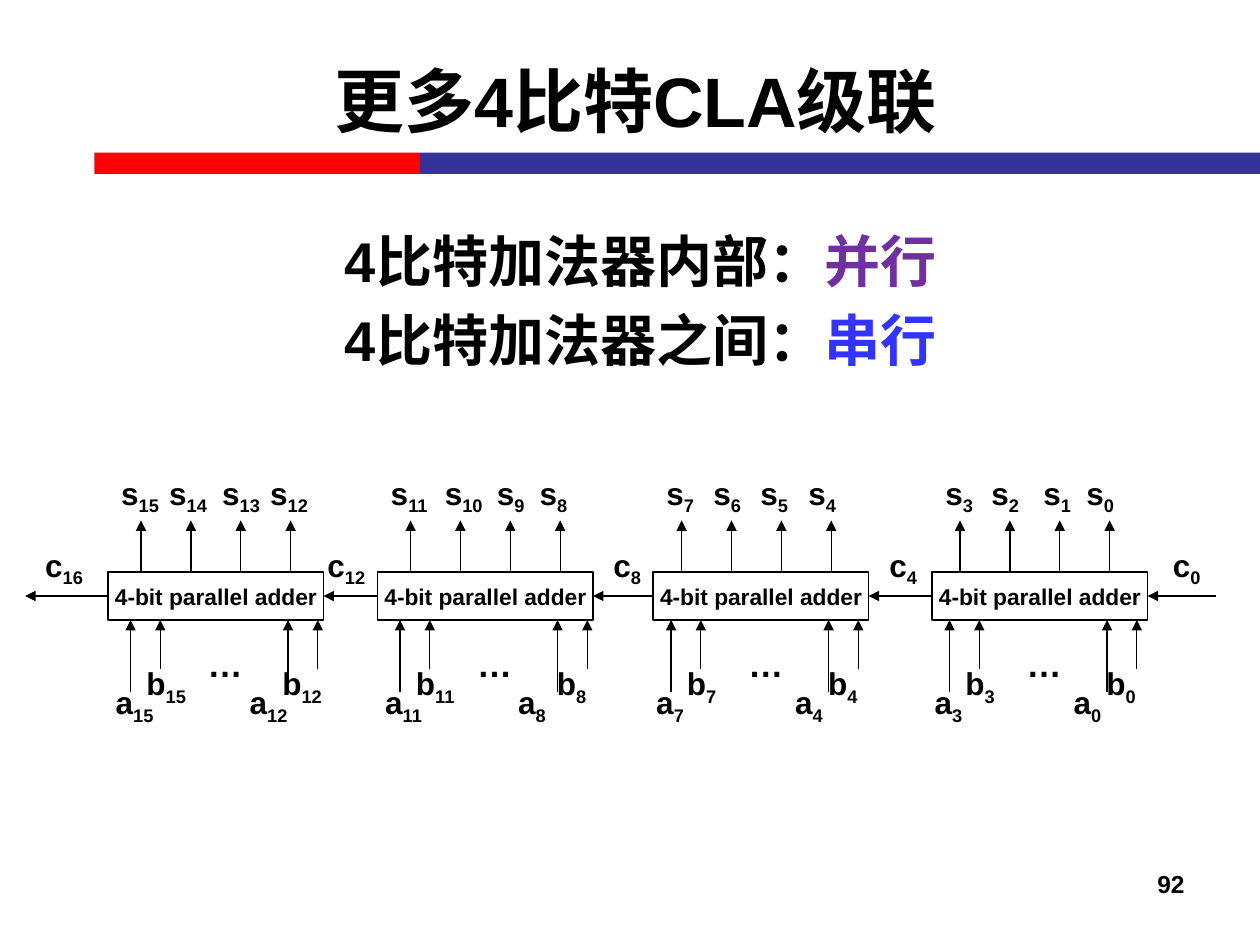
"""Build a slide showing four cascaded 4-bit carry-lookahead adders."""
from dataclasses import dataclass
from itertools import pairwise

from lxml import etree
from pptx import Presentation
from pptx.dml.color import RGBColor
from pptx.enum.shapes import MSO_CONNECTOR, MSO_SHAPE
from pptx.enum.text import MSO_ANCHOR, PP_ALIGN
from pptx.oxml.ns import qn
from pptx.util import Pt

RECTANGLE = MSO_SHAPE.RECTANGLE
STRAIGHT = MSO_CONNECTOR.STRAIGHT
LEFT, CENTER, RIGHT = PP_ALIGN.LEFT, PP_ALIGN.CENTER, PP_ALIGN.RIGHT
TOP, MIDDLE = MSO_ANCHOR.TOP, MSO_ANCHOR.MIDDLE
LEFT_SIDE, RIGHT_SIDE = 1, 3


@dataclass(frozen=True)
class Theme:
    font: str = "Arial"
    ink: str = "000000"
    red: str = "FF0000"
    navy: str = "333399"
    purple: str = "7030A0"
    blue: str = "3333FF"
    title: float = 40
    body: float = 32
    ellipsis: float = 20
    signal: float = 18
    page: float = 14
    adder: float = 13
    line: float = 0.75


@dataclass(frozen=True)
class Adder:
    high_bit: int
    left: float
    first_input: float
    carry_label: float
    sum_tabs: tuple[float, ...]
    a_tab: float
    b_tab: float


@dataclass(frozen=True)
class Span:
    text: str
    color: str = Theme.ink
    subscript: bool = False


THEME = Theme()
ADDERS = (
    Adder(15, 61.7, 74.6, 180, (27.4, 57.7, 85.1), 76.6, 77.7),
    Adder(11, 215.7, 228.6, 343.4, (30.9, 60.6, 85.1), 76, 80.6),
    Adder(7, 373.2, 383.5, 501.1, (26.9, 53.7, 81.1), 79.4, 80.6),
    Adder(3, 532.6, 542.6, 663.1, (26.3, 56, 80.6), 79.4, 80.6),
)
ADDER_TOP, ADDER_WIDTH, ADDER_HEIGHT = 326.9, 123.2, 27.4
ADDER_BOTTOM = ADDER_TOP + ADDER_HEIGHT
CARRY_Y = ADDER_TOP + ADDER_HEIGHT / 2
CARRY_IN_X, CARRY_OUT_X = 694.8, 14.4
LABEL_HEIGHT = 28.8


def add_spans(paragraph, spans: list[Span], size: float) -> None:
    """Append styled runs to a paragraph."""
    for span in spans:
        run = paragraph.add_run()
        run.text = span.text
        run.font.name = THEME.font
        run.font.size = Pt(size)
        run.font.bold = True
        run.font.color.rgb = RGBColor.from_string(span.color)
        if span.subscript:
            run._r.get_or_add_rPr().set("baseline", "-25000")


def add_text(slide, left: float, top: float, width: float, height: float,
             lines: list[list[Span]], size: float, align=LEFT, anchor=TOP,
             tabs: tuple[float, ...] = (), gap: float = 0) -> None:
    """Add a text box with one paragraph per line and optional tab stops."""
    frame = slide.shapes.add_textbox(Pt(left), Pt(top), Pt(width), Pt(height)).text_frame
    frame.word_wrap = True
    frame.vertical_anchor = anchor
    for index, spans in enumerate(lines):
        paragraph = frame.add_paragraph() if index else frame.paragraphs[0]
        paragraph.alignment = align
        if index:
            paragraph.space_before = Pt(gap)
        if tabs:
            stops = etree.SubElement(paragraph._p.get_or_add_pPr(), qn("a:tabLst"))
            for stop in tabs:
                etree.SubElement(stops, qn("a:tab"), pos=str(Pt(stop)), algn="l")
        add_spans(paragraph, spans, size)


def add_signals(slide, left: float, top: float, letter: str, bits: list[int],
                width: float, tabs: tuple[float, ...] = ()) -> None:
    """Write subscripted signal names separated by tab stops."""
    spans = []
    for index, bit in enumerate(bits):
        spans.append(Span(f"\t{letter}" if index else letter))
        spans.append(Span(str(bit), subscript=True))
    add_text(slide, left, top, width, LABEL_HEIGHT, [spans], THEME.signal, tabs=tabs)


def add_box(slide, left: float, top: float, width: float, height: float):
    """Add a plain rectangle without shadow."""
    box = slide.shapes.add_shape(RECTANGLE, Pt(left), Pt(top), Pt(width), Pt(height))
    box.shadow.inherit = False
    return box


def add_bar(slide, left: float, width: float, color: str) -> None:
    """Add one segment of the band under the title."""
    bar = add_box(slide, left, 87.2, width, 12.2)
    bar.fill.solid()
    bar.fill.fore_color.rgb = RGBColor.from_string(color)
    bar.line.fill.background()


def add_arrow(slide, x1: float, y1: float, x2: float, y2: float):
    """Add a straight arrow pointing at its second end."""
    arrow = slide.shapes.add_connector(STRAIGHT, Pt(x1), Pt(y1), Pt(x2), Pt(y2))
    arrow.line.width = Pt(THEME.line)
    arrow.line.color.rgb = RGBColor.from_string(THEME.ink)
    etree.SubElement(arrow.line._get_or_add_ln(), qn("a:tailEnd"), type="triangle")
    etree.SubElement(arrow._element.spPr, qn("a:effectLst"))
    return arrow


def add_adder(slide, adder: Adder):
    """Draw an adder with its sum outputs, operand inputs and carry label."""
    block = add_box(slide, adder.left, ADDER_TOP, ADDER_WIDTH, ADDER_HEIGHT)
    block.fill.background()
    block.line.color.rgb = RGBColor.from_string(THEME.ink)
    block.line.width = Pt(THEME.line)
    frame = block.text_frame
    frame.word_wrap = False
    frame.vertical_anchor = MIDDLE
    frame.margin_left = frame.margin_right = frame.margin_top = frame.margin_bottom = 0
    frame.paragraphs[0].alignment = CENTER
    add_spans(frame.paragraphs[0], [Span("4-bit parallel adder")], THEME.adder)

    start, high, low = adder.first_input, adder.high_bit, adder.high_bit - 3
    for output in range(4):
        x = start + 6 + 28.5 * output
        add_arrow(slide, x, ADDER_TOP, x, 297.4)
    for offset, tail_y in ((0, 395.3), (17, 382.3)):
        for x in (start + offset, start + offset + 90):
            add_arrow(slide, x, tail_y, x, ADDER_BOTTOM)

    add_signals(slide, adder.left + 0.5, 267.1, "s", list(range(high, low - 1, -1)),
                135, adder.sum_tabs)
    add_signals(slide, start - 15.6, 386.6, "a", [high, low], 126, (adder.a_tab,))
    add_signals(slide, start + 2, 375.8, "b", [high, low], 128, (adder.b_tab,))
    add_signals(slide, adder.carry_label, 308.2, "c", [low], 38)
    add_text(slide, start + 37, 363.6, 34.5, 31.7, [[Span("…")]], THEME.ellipsis)
    return block


def main() -> None:
    """Assemble and save the slide."""
    deck = Presentation()
    deck.slide_width, deck.slide_height = Pt(720), Pt(540)
    slide = deck.slides.add_slide(deck.slide_layouts[6])

    add_bar(slide, 54, 186, THEME.red)
    add_bar(slide, 240, 480, THEME.navy)
    add_text(slide, 69.1, 20.2, 588.2, 73.4, [[Span("更多4比特CLA级联")]],
             THEME.title, CENTER, MIDDLE)
    add_text(slide, 190, 126, 409, 110.2, [
        [Span("4比特加法器内部："), Span("并行", THEME.purple)],
        [Span("4比特加法器之间："), Span("串行", THEME.blue)],
    ], THEME.body, gap=6.4)

    blocks = [add_adder(slide, adder) for adder in ADDERS]
    for receiver, sender in pairwise(blocks):
        carry = add_arrow(slide, 0, CARRY_Y, 0, CARRY_Y)
        carry.begin_connect(sender, LEFT_SIDE)
        carry.end_connect(receiver, RIGHT_SIDE)
    carry_in = add_arrow(slide, CARRY_IN_X, CARRY_Y, CARRY_IN_X, CARRY_Y)
    carry_in.end_connect(blocks[-1], RIGHT_SIDE)
    carry_out = add_arrow(slide, CARRY_OUT_X, CARRY_Y, CARRY_OUT_X, CARRY_Y)
    carry_out.begin_connect(blocks[0], LEFT_SIDE)
    add_signals(slide, 18.7, 308.2, "c", [16], 38)

    add_text(slide, 516.2, 493.2, 167.8, 36, [[Span("92")]], THEME.page, RIGHT)
    deck.save("out.pptx")


if __name__ == "__main__":
    main()
